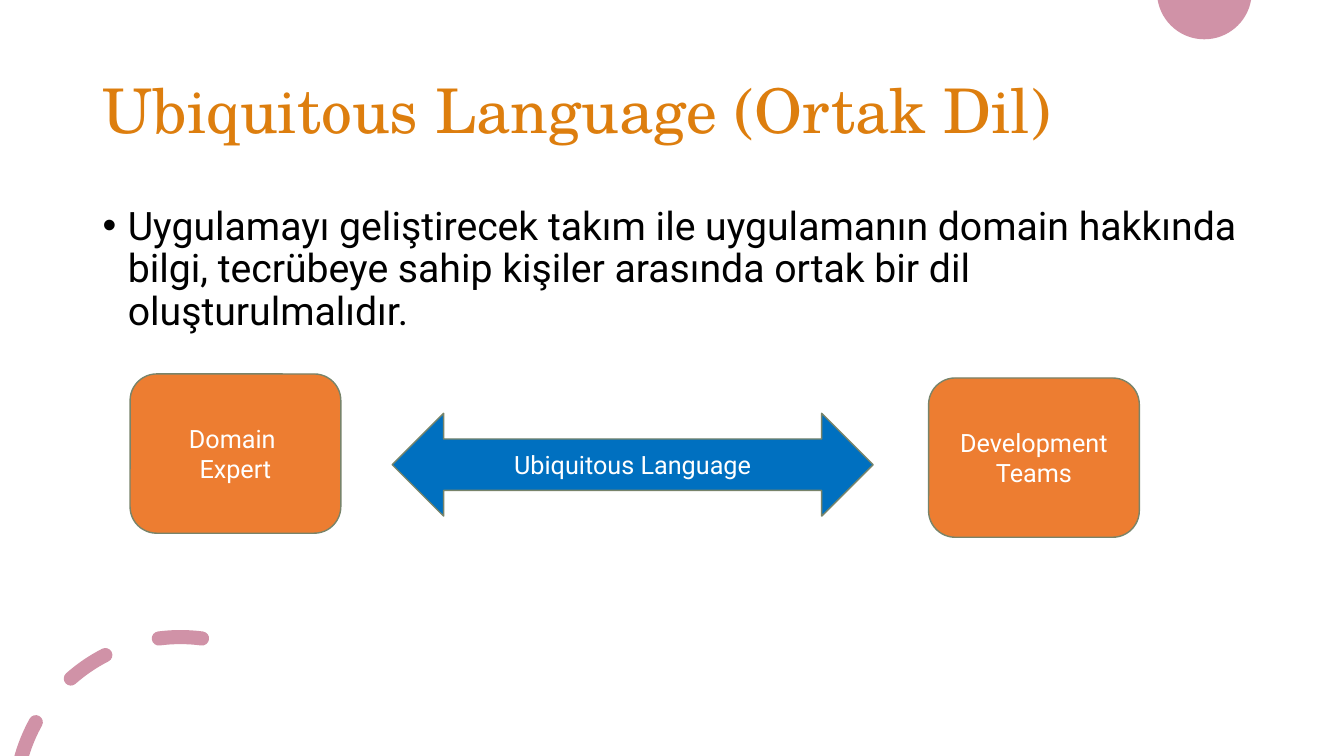
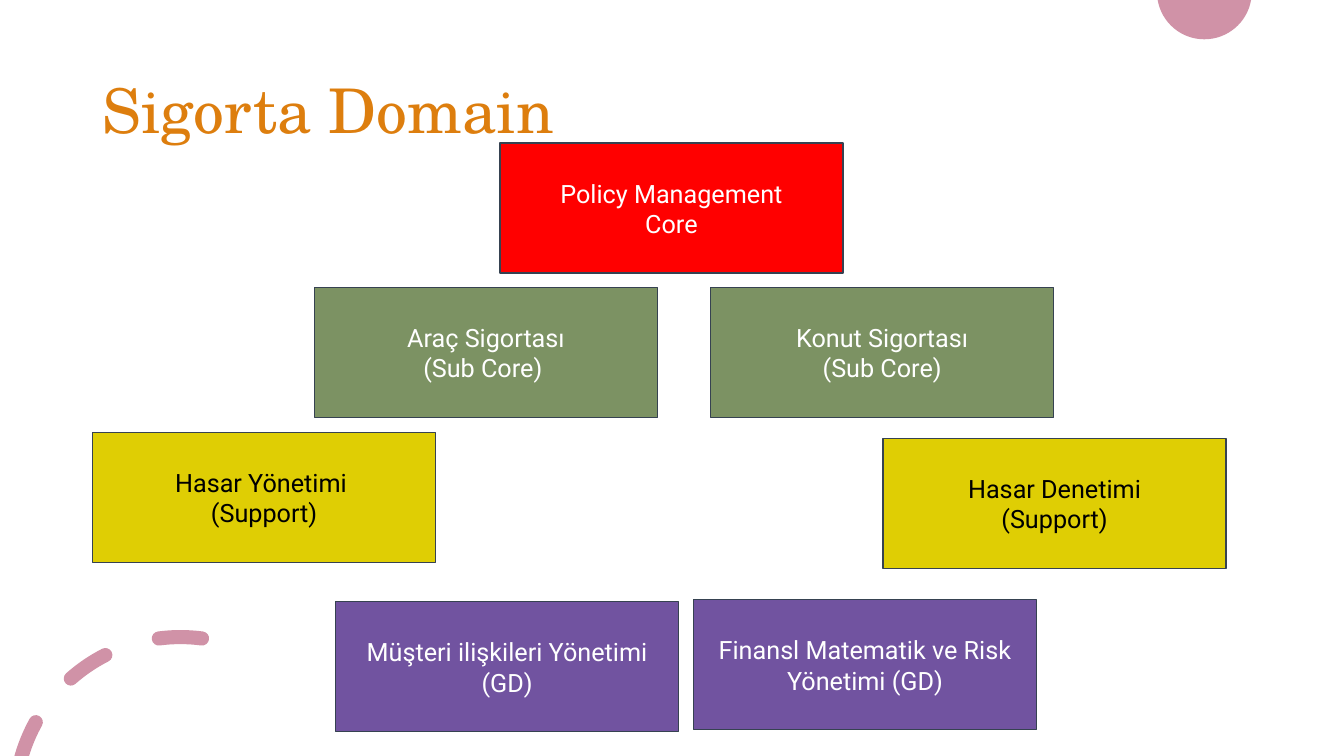
from dataclasses import dataclass
from math import acos, cos, degrees, radians, sin, tan

from lxml import etree
from pptx import Presentation
from pptx.dml.color import RGBColor
from pptx.enum import shapes, text
from pptx.oxml import ns
from pptx.shapes.autoshape import Shape
from pptx.slide import Slide
from pptx.text.text import TextFrame
from pptx.util import Inches, Pt

# Shared look
WIDTH, HEIGHT = 13.33, 7.5
TITLE_FONT, BODY_FONT = "TeX Gyre Schola", "Roboto"
WHITE = RGBColor(0xFF, 0xFF, 0xFF)
BLACK = RGBColor(0x00, 0x00, 0x00)
PINK = RGBColor(0xD0, 0x92, 0xA7)
TITLE_ORANGE = RGBColor(0xDD, 0x7E, 0x0E)
ORANGE = RGBColor(0xED, 0x7D, 0x31)
BLUE = RGBColor(0x00, 0x70, 0xC0)
RED = RGBColor(0xFF, 0x00, 0x00)
GREEN = RGBColor(0x7C, 0x92, 0x63)
YELLOW = RGBColor(0xDF, 0xCE, 0x04)
PURPLE = RGBColor(0x71, 0x53, 0xA0)
OLIVE_LINE = RGBColor(0x78, 0x84, 0x6A)
SLATE_LINE = RGBColor(0x36, 0x42, 0x51)

RECTANGLE = shapes.MSO_SHAPE.RECTANGLE
ROUNDED = shapes.MSO_SHAPE.ROUNDED_RECTANGLE
DOUBLE_ARROW = shapes.MSO_SHAPE.LEFT_RIGHT_ARROW

Point = tuple[float, float]


@dataclass(frozen=True)
class Box:
    left: float
    top: float
    lines: str
    fill: RGBColor
    color: RGBColor = WHITE
    width: float = 3.4
    height: float = 1.29
    kind: shapes.MSO_SHAPE = RECTANGLE
    line: RGBColor = SLATE_LINE


@dataclass(frozen=True)
class Arc:
    """Part of a circle; angles in degrees, clockwise from the top."""
    center: Point
    radius: float
    start: float
    end: float

    def at(self, angle: float) -> Point:
        turn = radians(angle)
        return (self.center[0] + self.radius * sin(turn),
                self.center[1] - self.radius * cos(turn))

    def curve(self) -> list[Point]:
        """Two control points and the end point of a Bézier curve."""
        reach = 4 / 3 * tan(radians(self.end - self.start) / 4) * self.radius
        (x0, y0), (x3, y3) = self.at(self.start), self.at(self.end)
        first, last = radians(self.start), radians(self.end)
        return [(x0 + reach * cos(first), y0 + reach * sin(first)),
                (x3 - reach * cos(last), y3 - reach * sin(last)), (x3, y3)]


@dataclass(frozen=True)
class Contour:
    start: Point
    segments: list[list[Point]]  # one point: a line; three points: a curve


LANGUAGE_BOXES = [
    Box(1.29, 3.71, "Domain \nExpert", ORANGE, WHITE, 2.09, 1.58, ROUNDED, OLIVE_LINE),
    Box(9.21, 3.75, "Development\nTeams", ORANGE, WHITE, 2.09, 1.58, ROUNDED, OLIVE_LINE),
    Box(3.89, 4.1, "Ubiquitous Language", BLUE, WHITE, 4.77, 1.02, DOUBLE_ARROW, OLIVE_LINE),
]

DOMAIN_BOXES = [
    Box(4.96, 1.42, "Policy Management\nCore", RED),
    Box(3.12, 2.85, "Araç Sigortası\n(Sub Core) ", GREEN),
    Box(0.92, 4.29, "Hasar Yönetimi \n(Support)", YELLOW, BLACK),
    Box(7.05, 2.85, "Konut Sigortası\n(Sub Core)", GREEN),
    Box(8.76, 4.35, "Hasar Denetimi\n(Support)", YELLOW, BLACK),
    Box(6.88, 5.95, "Finansl Matematik ve Risk Yönetimi (GD)", PURPLE),
    Box(3.33, 5.97, "Müşteri ilişkileri Yönetimi\n(GD)", PURPLE),
]


# Text
def write_text(frame: TextFrame, lines: str, *, size: float = 18, font: str = BODY_FONT,
               color: RGBColor = WHITE, align: text.PP_ALIGN = text.PP_ALIGN.CENTER,
               anchor: text.MSO_ANCHOR = text.MSO_ANCHOR.MIDDLE,
               spacing: float = 1.0, bullet: bool = False) -> None:
    frame.word_wrap = True
    frame.vertical_anchor = anchor
    for index, line in enumerate(lines.split("\n")):
        paragraph = frame.add_paragraph() if index else frame.paragraphs[0]
        paragraph.alignment = align
        paragraph.line_spacing = spacing
        run = paragraph.add_run()
        run.text = line
        run.font.size = Pt(size)
        run.font.name = font
        run.font.color.rgb = color
        if bullet:
            properties = paragraph._p.get_or_add_pPr()
            properties.set("marL", str(Inches(0.25)))
            properties.set("indent", str(-Inches(0.25)))
            etree.SubElement(properties, ns.qn("a:buFont"), typeface="Arial")
            etree.SubElement(properties, ns.qn("a:buChar"), char="•")


def add_text(slide: Slide, left: float, top: float, width: float, height: float,
             lines: str, **style) -> None:
    box = slide.shapes.add_textbox(Inches(left), Inches(top), Inches(width), Inches(height))
    write_text(box.text_frame, lines, align=text.PP_ALIGN.LEFT, spacing=0.9, **style)


# Shapes
def paint(shape: Shape, fill: RGBColor, line: RGBColor | None = None) -> None:
    shape.shadow.inherit = False
    shape.fill.solid()
    shape.fill.fore_color.rgb = fill
    if line is None:
        shape.line.fill.background()
    else:
        shape.line.color.rgb = line
        shape.line.width = Pt(1)


def add_box(slide: Slide, box: Box) -> None:
    shape = slide.shapes.add_shape(box.kind, Inches(box.left), Inches(box.top),
                                   Inches(box.width), Inches(box.height))
    paint(shape, box.fill, box.line)
    write_text(shape.text_frame, box.lines, color=box.color)


def to_emu(point: Point) -> tuple[int, int]:
    return Inches(point[0]), Inches(point[1])


def add_outline(slide: Slide, contours: list[Contour]) -> None:
    builder = slide.shapes.build_freeform(*to_emu(contours[0].start))
    for index, contour in enumerate(contours):
        if index:
            builder.move_to(*to_emu(contour.start))
        points = [to_emu(point) for segment in contour.segments for point in segment]
        builder.add_line_segments(points, close=True)
    shape = builder.convert_to_shape()
    paint(shape, PINK)

    # Join each three points of a curve into one Bézier segment
    lines = shape._element.iter(ns.qn("a:lnTo"))
    remaining = iter(list(lines))
    for segment in (segment for contour in contours for segment in contour.segments):
        first, *others = [next(remaining) for _ in segment]
        if others:
            first.tag = ns.qn("a:cubicBezTo")
            for other in others:
                first.append(other[0])
                other.getparent().remove(other)


# Decoration: a circle and a dashed arc, both cut off at the slide edges
def dome() -> Contour:
    center, radius = (11.945, -0.08), 0.47
    edge = degrees(acos(center[1] / radius))
    halves = [Arc(center, radius, edge, 180), Arc(center, radius, 180, 360 - edge)]
    return Contour(halves[0].at(edge), [half.curve() for half in halves])


def dash(start: float | None, end: float) -> Contour:
    """A round-ended dash; without a start it runs off the bottom edge."""
    center, radius, half = (1.79, 7.96), 1.64, 0.07

    def begin(size: float) -> float:
        return -degrees(acos((center[1] - HEIGHT) / size)) if start is None else start

    outer = Arc(center, radius + half, begin(radius + half), end)
    inner = Arc(center, radius - half, end, begin(radius - half))
    middle = Arc(center, radius, begin(radius), end)
    parts = [outer]
    parts += [Arc(middle.at(end), half, end + turn, end + turn + 90) for turn in (0, 90)]
    parts.append(inner)
    if start is not None:
        parts += [Arc(middle.at(start), half, start + turn, start + turn + 90)
                  for turn in (180, 270)]
    return Contour(outer.at(outer.start), [part.curve() for part in parts])


def add_decoration(slide: Slide) -> None:
    add_outline(slide, [dome()])
    add_outline(slide, [dash(None, -61), dash(-41.5, -27), dash(-7.5, 7.5)])


# Slides
def add_slide(presentation: Presentation, title: str) -> Slide:
    slide = presentation.slides.add_slide(presentation.slide_layouts[6])
    slide.background.fill.solid()
    slide.background.fill.fore_color.rgb = WHITE
    add_decoration(slide)
    add_text(slide, 0.92, 0.4, 11.5, 1.45, title,
             size=44, font=TITLE_FONT, color=TITLE_ORANGE)
    return slide


def main() -> None:
    presentation = Presentation()
    presentation.slide_width = Inches(WIDTH)
    presentation.slide_height = Inches(HEIGHT)

    language = add_slide(presentation, "Ubiquitous Language (Ortak Dil)")
    add_text(language, 0.92, 2, 11.5, 4.22,
             "Uygulamayı geliştirecek takım ile uygulamanın domain hakkında bilgi, "
             "tecrübeye sahip kişiler arasında ortak bir dil oluşturulmalıdır.",
             size=28, color=BLACK, anchor=text.MSO_ANCHOR.TOP, bullet=True)
    for box in LANGUAGE_BOXES:
        add_box(language, box)

    domain = add_slide(presentation, "Sigorta Domain")
    for box in DOMAIN_BOXES:
        add_box(domain, box)

    presentation.save("out.pptx")


if __name__ == "__main__":
    main()
